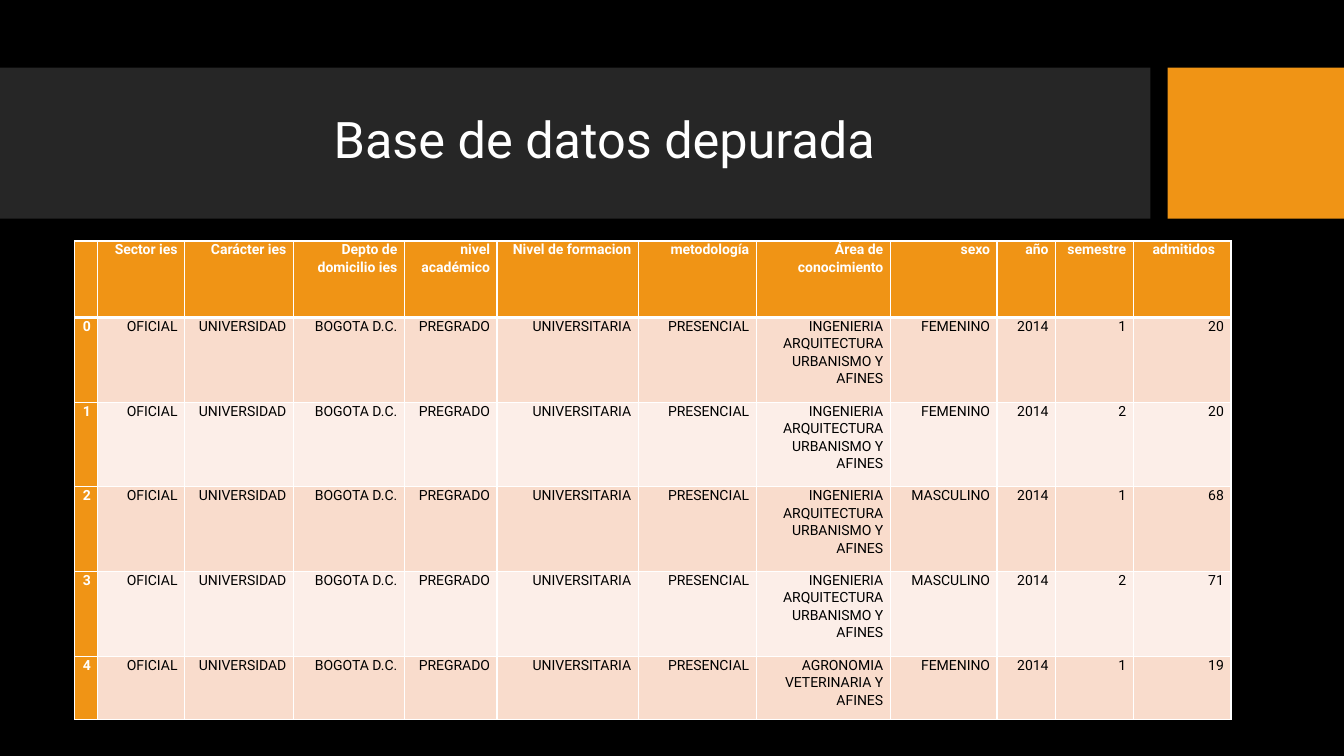
import pptx
import pptx.util
import pptx.dml.color
import pptx.enum.shapes
import pptx.enum.text
import pptx.oxml
import pptx.oxml.ns

Inches = pptx.util.Inches
ALIGN = pptx.enum.text.PP_ALIGN
ANCHOR = pptx.enum.text.MSO_ANCHOR

TITLE = "Base de datos depurada"
HEADERS = ["", "Sector ies", "Carácter ies", "Depto de domicilio ies", "nivel académico",
           "Nivel de formacion", "metodología", "Área de conocimiento", "sexo", "año",
           "semestre", "\u00a0admitidos"]
COMMON = ["OFICIAL", "UNIVERSIDAD", "BOGOTA D.C.", "PREGRADO", "UNIVERSITARIA", "PRESENCIAL"]
ENGINEERING = "INGENIERIA ARQUITECTURA URBANISMO Y AFINES"
AGRONOMY = "AGRONOMIA VETERINARIA Y AFINES"
YEAR = "2014"
ADMISSIONS = [
    (ENGINEERING, "FEMENINO", 1, 20),
    (ENGINEERING, "FEMENINO", 2, 20),
    (ENGINEERING, "MASCULINO", 1, 68),
    (ENGINEERING, "MASCULINO", 2, 71),
    (AGRONOMY, "FEMENINO", 1, 19),
]
COLUMN_WIDTHS = [0.23, 0.86, 1.08, 1.1, 0.92, 1.4, 1.17, 1.33, 1.06, 0.58, 0.77, 0.97]
ROW_HEIGHTS = [0.76] + [0.84] * 4 + [0.63]
COLORS = {"background": "000000", "band": "262626", "accent": "F09415", "white": "FFFFFF",
          "text": "000000", "odd": "F9DCCC", "even": "FCEEE8"}
FONT = "Roboto"
BANDS = [(0, 11.41, "band"), (11.58, 1.75, "accent")]


def rgb(name):
    return pptx.dml.color.RGBColor.from_string(COLORS[name])


def paint(target, color):
    target.fill.solid()
    target.fill.fore_color.rgb = rgb(color)


def write(frame, text, size=10, color="text", bold=False, align=ALIGN.RIGHT,
          spacing=1.07, before=12, after=8):
    paragraph = frame.paragraphs[0]
    paragraph.alignment = align
    paragraph.line_spacing = spacing
    paragraph.space_before = pptx.util.Pt(before)
    paragraph.space_after = pptx.util.Pt(after)
    if text:
        run = paragraph.add_run()
        run.text = text
    font = run.font if text else paragraph.font
    font.name = FONT
    font.size = pptx.util.Pt(size)
    font.bold = bold
    font.color.rgb = rgb(color)


def set_borders(cell, top, bottom):
    properties = cell._tc.get_or_add_tcPr()
    for index, (side, points) in enumerate([("L", 1), ("R", 1), ("T", top), ("B", bottom)]):
        properties.insert(index, pptx.oxml.parse_xml(
            f'<a:ln{side} {pptx.oxml.ns.nsdecls("a")} w="{pptx.util.Pt(points)}">'
            f'<a:solidFill><a:srgbClr val="{COLORS["white"]}"/></a:solidFill></a:ln{side}>'))


deck = pptx.Presentation()
deck.slide_width, deck.slide_height = Inches(13.33), Inches(7.5)
slide = deck.slides.add_slide(deck.slide_layouts[5])
paint(slide.background, "background")

for left, width, color in BANDS:
    band = slide.shapes.add_shape(pptx.enum.shapes.MSO_SHAPE.RECTANGLE,
                                  Inches(left), Inches(0.67), Inches(width), Inches(1.5))
    paint(band, color)
    band.line.fill.background()
    band.shadow.inherit = False

title = slide.shapes.title
slide.shapes._spTree.append(title._element)
title.left, title.top = Inches(0.74), Inches(0.82)
title.width, title.height = Inches(10.51), Inches(1.18)
title.text_frame.word_wrap = True
title.text_frame.auto_size = pptx.enum.text.MSO_AUTO_SIZE.NONE
title.text_frame.vertical_anchor = ANCHOR.MIDDLE
write(title.text_frame, TITLE, size=36, color="white", align=ALIGN.CENTER,
      spacing=0.9, before=0, after=0)

records = [HEADERS] + [
    [str(number), *COMMON, area, sex, YEAR, str(semester), str(admitted)]
    for number, (area, sex, semester, admitted) in enumerate(ADMISSIONS)]
admissions = slide.shapes.add_table(
    len(records), len(HEADERS), Inches(0.74), Inches(2.39),
    Inches(sum(COLUMN_WIDTHS)), Inches(sum(ROW_HEIGHTS))).table
admissions.first_col = True
for column, width in zip(admissions.columns, COLUMN_WIDTHS):
    column.width = Inches(width)
for row, height in zip(admissions.rows, ROW_HEIGHTS):
    row.height = Inches(height)

for r, record in enumerate(records):
    for c, text in enumerate(record):
        cell = admissions.cell(r, c)
        heading = r == 0 or c == 0
        cell.margin_left = cell.margin_right = Inches(0.07)
        cell.margin_top = cell.margin_bottom = 0
        paint(cell, "accent" if heading else "odd" if r % 2 else "even")
        set_borders(cell, top=3 if r == 1 else 1, bottom=3 if r == 0 else 1)
        centered = r == 0 and c == len(HEADERS) - 1
        write(cell.text_frame, text, color="white" if heading else "text", bold=heading,
              align=ALIGN.CENTER if centered else ALIGN.RIGHT, before=0 if centered else 12)

deck.save("out.pptx")
